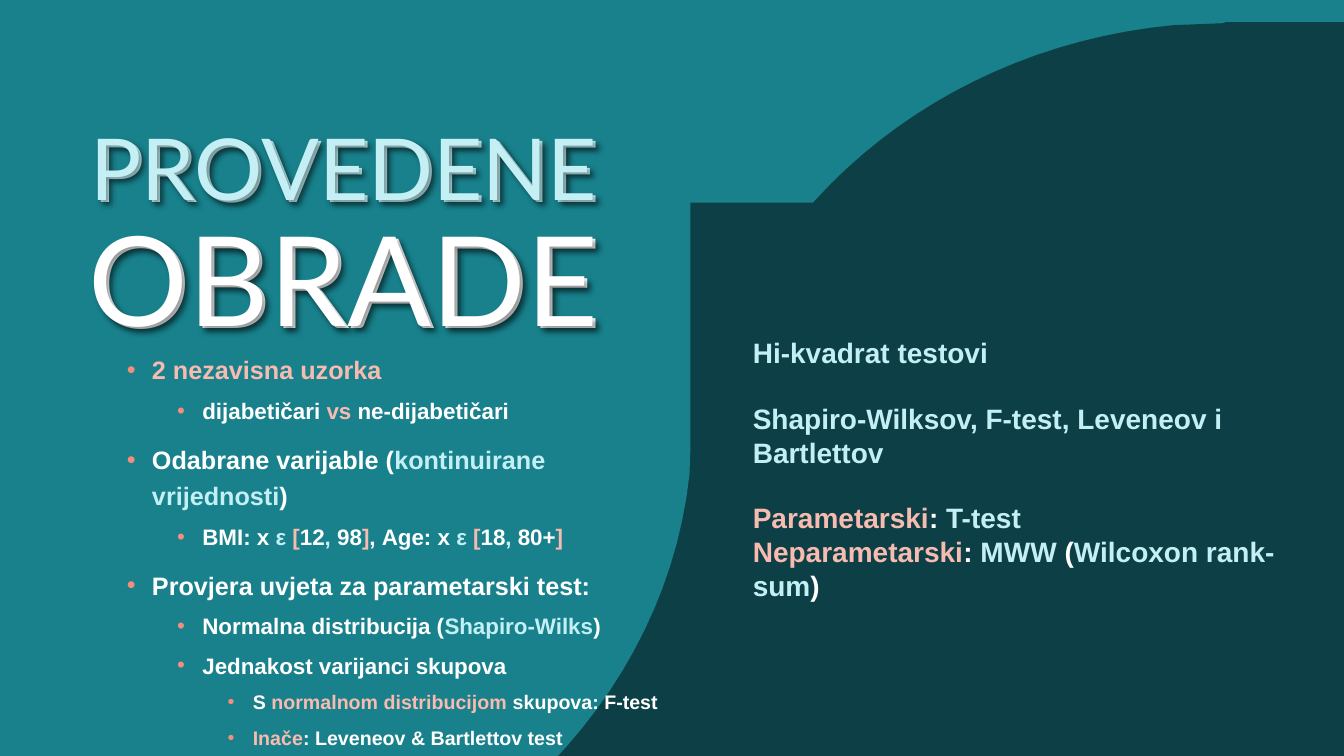
from dataclasses import dataclass

from lxml.etree import SubElement
from pptx import Presentation
from pptx.dml.color import RGBColor
from pptx.enum.text import MSO_ANCHOR, MSO_AUTO_SIZE, PP_ALIGN
from pptx.oxml.ns import qn
from pptx.util import Inches, Pt


@dataclass(frozen=True)
class Theme:
    """Colours, fonts and type sizes of the slide."""
    teal: str = "18818C"
    dark: str = "0C4046"
    ice: str = "C4F0F5"
    white: str = "FFFFFF"
    pink: str = "F8BBB0"
    bullet: str = "F48E7C"
    title_font: str = "Lato"
    body_font: str = "Arial"
    title_small: int = 61
    title_gap: int = 60
    title_large: int = 89
    levels: tuple = (18, 16, 14)
    tests: int = 20


THEME = Theme()
ICE, WHITE, PINK = THEME.ice, THEME.white, THEME.pink
COLUMNS, ROWS = 80, 45
UNIT = Inches(7.5) // ROWS

DARK_BASE = [(23.76, 109.44), (10.74, 109.44), (10.74, 12.06), (79.98, 12.06), (79.98, 62.04),
             (79.86, 64.56), ((77.28, 88.08), (55.98, 106.8), (29.16, 109.2))]
TEAL_PANEL = [(5.46, 56.7), (-2.76, 56.7), (-2.76, -4.98), (41.1, -4.98), (41.1, 26.64),
              (41.04, 28.26), ((39.42, 43.14), (25.92, 55.02), (8.88, 56.52)), (5.46, 56.64)]
DARK_PANEL = [(72.9, 1.32), (80.28, 1.32), (80.28, 59.16), (41.1, 59.16), (41.1, 29.52),
              (41.22, 28.02), ((42.66, 14.04), (54.66, 2.94), (69.84, 1.5)), (72.9, 1.38)]

TITLE_TOP = ("PROVEDENE", ICE, THEME.title_small)
TITLE_BOTTOM = ("OBRADE", WHITE, THEME.title_large)
TITLE_SPACE = (" ", ICE, THEME.title_gap)

OUTLINE = [
    (0, [("2 nezavisna uzorka", PINK)]),
    (1, [("dijabetičari ", WHITE), ("vs", PINK), (" ne-dijabetičari", WHITE)]),
    (0, [("Odabrane varijable (", WHITE), ("kontinuirane vrijednosti", ICE), (")", WHITE)]),
    (1, [("BMI: x ", WHITE), ("ε ", ICE), ("[", PINK), ("12", WHITE), (", ", ICE), ("98", WHITE),
         ("]", PINK), (", Age: x ", WHITE), ("ε ", ICE), ("[", PINK), ("18", WHITE), (",", ICE),
         (" 80+", WHITE), ("]", PINK)]),
    (0, [("Provjera uvjeta za parametarski test:", WHITE)]),
    (1, [("Normalna distribucija (", WHITE), ("Shapiro-Wilks", ICE), (")", WHITE)]),
    (1, [("Jednakost varijanci skupova", WHITE)]),
    (2, [("S ", WHITE), ("normalnom distribucijom ", PINK), ("skupova: F-test", WHITE)]),
    (2, [("Inače", PINK), (": Leveneov & Bartlettov test", WHITE)]),
]

TESTS = [
    (0, [("Hi-kvadrat testovi", ICE)]),
    (23, [("Shapiro-Wilksov, F-test, Leveneov i Bartlettov", ICE)]),
    (23, [("Parametarski", PINK), (": ", WHITE), ("T-test", ICE)]),
    (0, [("Neparametarski", PINK), (": ", WHITE), ("MWW", ICE), (" (", WHITE),
         ("Wilcoxon rank-sum", ICE), (")", WHITE)]),
]


def apply(target, formats):
    """Set every attribute named in formats on target."""
    for name, value in formats.items():
        setattr(target, name, value)


def cubic(start, bend, steps=32):
    """Return points along the cubic curve that leaves start."""
    points = (start, *bend)
    shares = [step / steps for step in range(1, steps + 1)]
    return [tuple(sum(weight * point[axis] for weight, point in zip(
        ((1 - t) ** 3, 3 * t * (1 - t) ** 2, 3 * t * t * (1 - t), t ** 3), points))
        for axis in (0, 1)) for t in shares]


def add_panel(slide, outline, color):
    """Draw a filled panel whose outline mixes corners and curves."""
    corners = []
    for node in outline:
        corners += cubic(corners[-1], node) if len(node) == 3 else [node]
    start, *rest = [(round(x * UNIT), round(y * UNIT)) for x, y in corners]
    builder = slide.shapes.build_freeform(*start)
    builder.add_line_segments(rest, close=True)
    panel = builder.convert_to_shape()
    panel.shadow.inherit = False
    panel.fill.solid()
    panel.fill.fore_color.rgb = RGBColor.from_string(color)
    panel.line.fill.background()


def add_text(slide, cells, paragraphs, auto_size=MSO_AUTO_SIZE.NONE):
    """Place a text box on grid cells; each paragraph is a format dict and its runs."""
    box = slide.shapes.add_textbox(*(round(cell * UNIT) for cell in cells))
    frame = box.text_frame
    apply(frame, {"word_wrap": True, "auto_size": auto_size, "vertical_anchor": MSO_ANCHOR.TOP})
    for index, (formats, font, runs) in enumerate(paragraphs):
        paragraph = frame.add_paragraph() if index else frame.paragraphs[0]
        apply(paragraph, formats)
        for wording, color, size in runs:
            run = paragraph.add_run()
            run.text = wording
            apply(run.font, {**font, "size": Pt(size)})
            run.font.color.rgb = RGBColor.from_string(color)
    return box


def add_title(slide, cells, lines):
    """Place one layer of the title with a soft shadow."""
    centred = {"alignment": PP_ALIGN.CENTER, "line_spacing": 0.9}
    title = add_text(slide, cells, [(centred, {"name": THEME.title_font}, runs) for runs in lines])
    effects = SubElement(title._element.spPr, qn("a:effectLst"))
    shadow = SubElement(effects, qn("a:outerShdw"), blurRad="50800", dist="38100",
                        dir="2700000", algn="tl", rotWithShape="0")
    tint = SubElement(shadow, qn("a:prstClr"), val="black")
    SubElement(tint, qn("a:alpha"), val="40000")


def add_bullet(paragraph, level):
    """Give a paragraph the coloured bullet and indent of its level."""
    props = paragraph._p.get_or_add_pPr()
    props.set("marL", str(Inches(0.25 + 0.5 * level)))
    props.set("indent", str(-Inches(0.25)))
    SubElement(SubElement(props, qn("a:buClr")), qn("a:srgbClr"), val=THEME.bullet)
    SubElement(props, qn("a:buFont"), typeface=THEME.body_font)
    SubElement(props, qn("a:buChar"), char="•")


def add_outline(slide, cells, items):
    """Place the bulleted outline of the procedure."""
    font = {"name": THEME.body_font, "bold": True}
    paragraphs = [({"level": level, "line_spacing": 1.2, "space_before": Pt(5 if level else 10)},
                   font, [(*run, THEME.levels[level]) for run in runs]) for level, runs in items]
    box = add_text(slide, cells, paragraphs)
    for paragraph, (level, _) in zip(box.text_frame.paragraphs, items):
        add_bullet(paragraph, level)


def add_tests(slide, cells, items):
    """Place the list of statistical tests."""
    font = {"name": THEME.body_font, "bold": True}
    add_text(slide, cells, [({"space_before": Pt(gap)}, font, [(*run, THEME.tests) for run in runs])
                            for gap, runs in items], MSO_AUTO_SIZE.SHAPE_TO_FIT_TEXT)


def main():
    """Build the slide and save it."""
    deck = Presentation()
    apply(deck, {"slide_width": COLUMNS * UNIT, "slide_height": ROWS * UNIT})
    slide = deck.slides.add_slide(deck.slide_layouts[6])
    slide.background.fill.solid()
    slide.background.fill.fore_color.rgb = RGBColor.from_string(THEME.teal)
    add_panel(slide, DARK_BASE, THEME.dark)
    add_panel(slide, TEAL_PANEL, THEME.teal)
    add_title(slide, (3.96, 7.38, 33.36, 14.76), [[TITLE_TOP, TITLE_SPACE, TITLE_BOTTOM]])
    add_outline(slide, (6.96, 20.46, 33.36, 24.9), OUTLINE)
    add_title(slide, (3.78, 7.26, 33.36, 14.76), [[TITLE_TOP], [TITLE_BOTTOM]])
    add_panel(slide, DARK_PANEL, THEME.dark)
    add_tests(slide, (44.22, 19.68, 34.02, 12.72), TESTS)
    deck.save("out.pptx")


if __name__ == "__main__":
    main()
